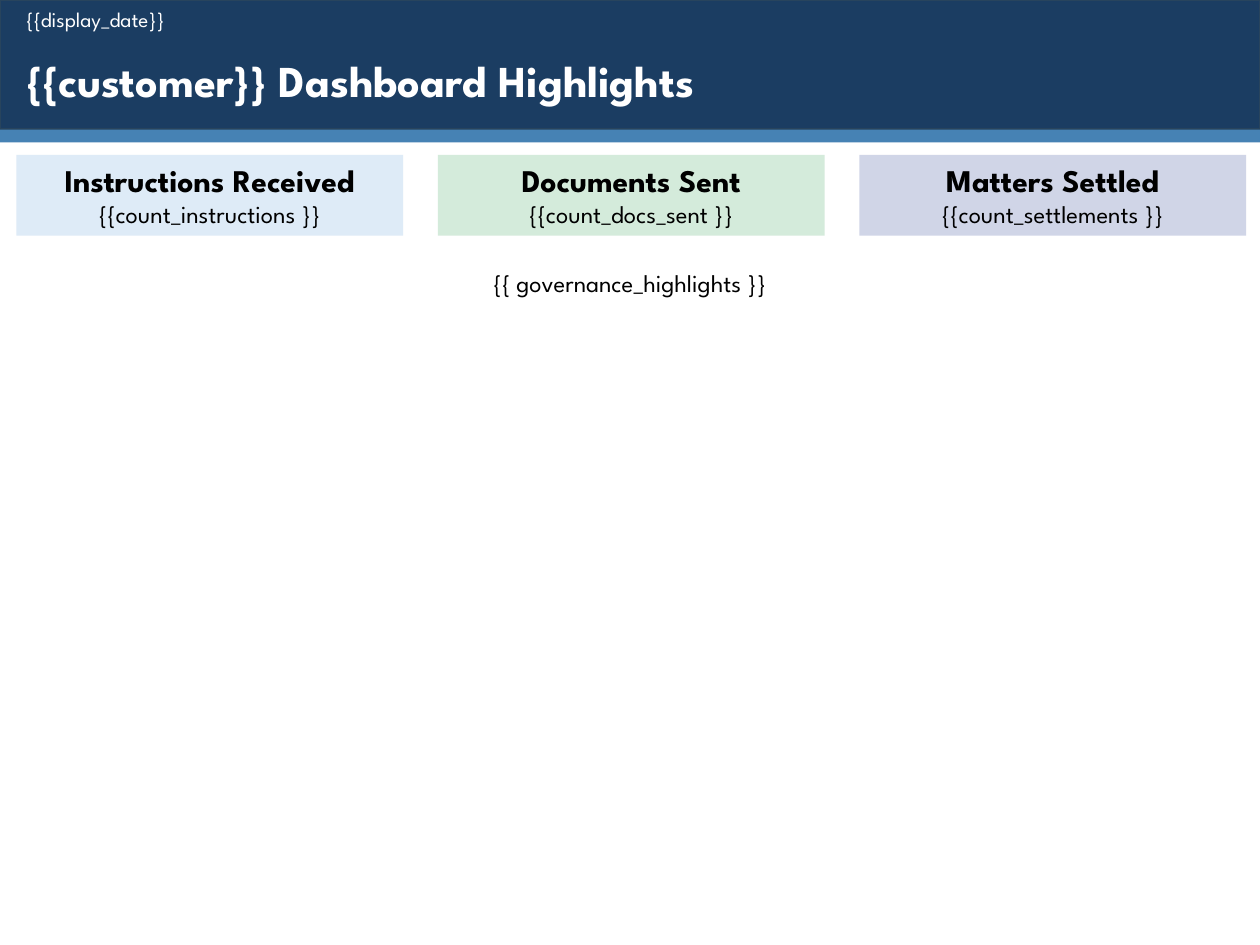
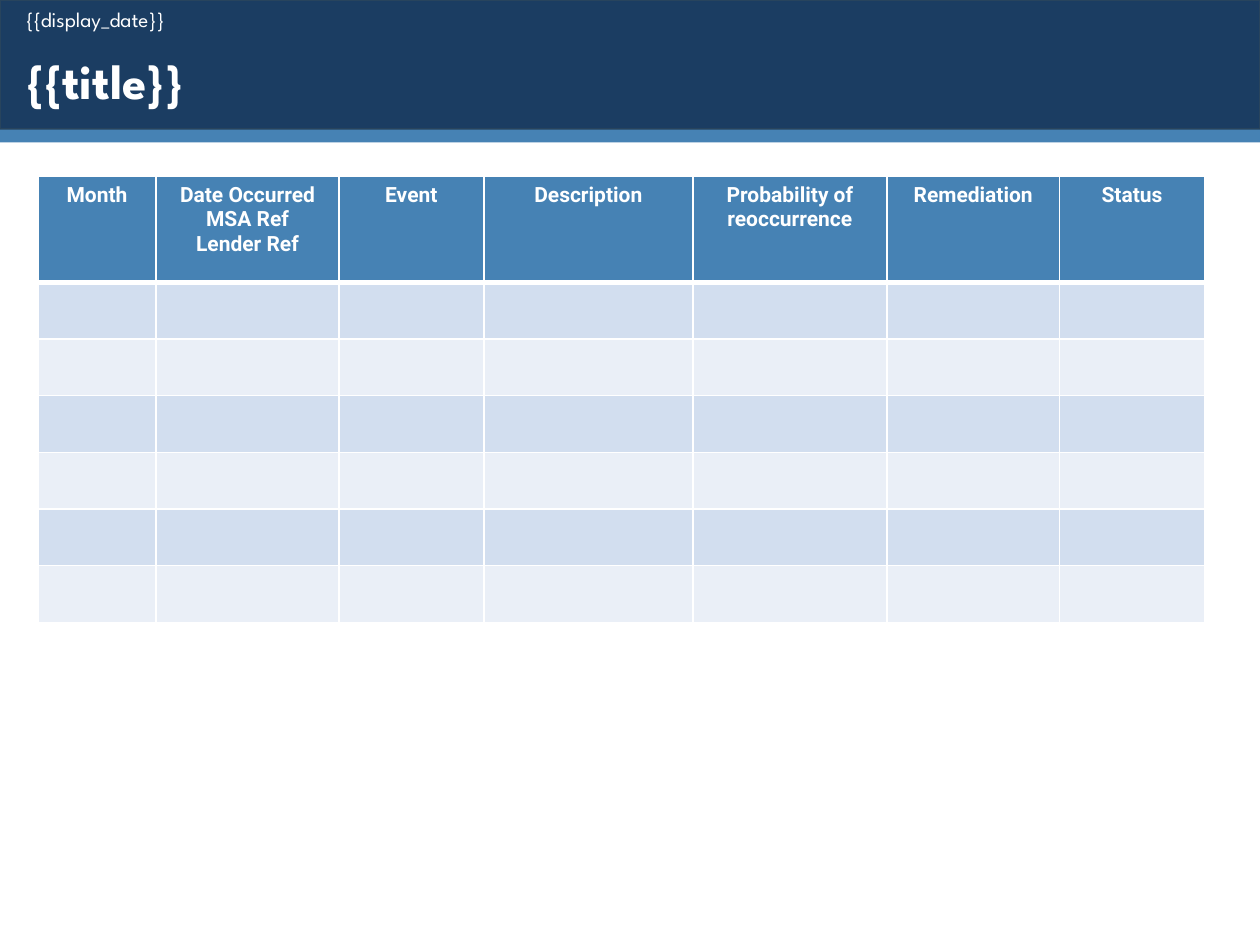
from lxml import etree
from pptx import Presentation
from pptx.dml.color import RGBColor
from pptx.enum.shapes import MSO_SHAPE as Preset
from pptx.enum.text import MSO_ANCHOR as Anchor, MSO_AUTO_SIZE as AutoSize, PP_ALIGN as Align
from pptx.oxml.ns import qn
from pptx.util import Inches, Pt

COLORS = {
    "navy": "1B3D62", "navy_edge": "28445D", "steel": "4682B4",
    "white": "FFFFFF", "black": "000000",
    "instructions": "DEEBF7", "documents": "D4EBDB", "settlements": "D0D5E7",
    "odd_row": "D2DEEF", "even_row": "EAEFF7",
}
HEADING_FONT = "League Spartan"
TABLE_FONT = "Roboto"
MARGIN = 0.11

CARDS = [
    ("Instructions Received", "{{count_instructions }}", "instructions"),
    ("Documents Sent", "{{count_docs_sent }}", "documents"),
    ("Matters Settled", "{{count_settlements }}", "settlements"),
]
CARD_LEFT, CARD_RIGHT, CARD_WIDTH = 0.13, 9.89, 3.07

# A vertical tab is a line break inside a paragraph.
EVENT_COLUMNS = [
    ("Month", 0.94), ("Date Occurred\nMSA Ref\vLender Ref", 1.45),
    ("Event", 1.15), ("Description", 1.66),
    ("Probability of reoccurrence", 1.54), ("Remediation", 1.37),
    ("Status", 1.15),
]
HEADER_HEIGHT, ROW_HEIGHT, EMPTY_ROWS = 0.84, 0.45, 6


def rgb(name):
    return RGBColor.from_string(COLORS[name])


def place(left, top, width, height):
    return [Inches(value) for value in (left, top, width, height)]


def style_para(para, size, color, bold=False, align=Align.LEFT, font=HEADING_FONT):
    para.alignment = align
    para.font.name = font
    para.font.size = Pt(size)
    para.font.bold = bold
    para.font.color.rgb = rgb(color)


def add_rect(page, area, fill, edge=None):
    rect = page.shapes.add_shape(Preset.RECTANGLE, *place(*area))
    rect.shadow.inherit = False
    rect.fill.solid()
    rect.fill.fore_color.rgb = rgb(fill)
    if edge:
        rect.line.color.rgb = rgb(edge)
        rect.line.width = Pt(1.5)
    else:
        rect.line.fill.background()
    return rect


def add_text(page, area, text, size, color, align=Align.LEFT, anchor=Anchor.TOP):
    box = page.shapes.add_textbox(*place(*area))
    box.text_frame.word_wrap = True
    box.text_frame.vertical_anchor = anchor
    para = box.text_frame.paragraphs[0]
    para.text = text
    style_para(para, size, color, align=align)
    return para


def add_page(deck, title_text, title_size):
    """Add a slide with the header bands, the title and the date."""
    page = deck.slides.add_slide(deck.slide_layouts.get_by_name("Title Only"))
    bands = [
        add_rect(page, (0, 0, 10, 1.03), "navy", "navy_edge"),
        add_rect(page, (-0.01, 1.03, 10.02, 0.1), "steel"),
    ]
    title = page.shapes.title
    for band in bands:
        title.element.addprevious(band.element)

    title.left, title.top, title.width, title.height = place(MARGIN, 0.3, 6.25, 0.72)
    frame = title.text_frame
    frame.text = title_text
    frame.auto_size = AutoSize.NONE
    frame.vertical_anchor = Anchor.MIDDLE
    frame.paragraphs[0].line_spacing = 0.9
    style_para(frame.paragraphs[0], title_size, "white", bold=True)

    add_text(page, (MARGIN, 0.03, 2.25, 0.24), "{{display_date}}", 12, "white",
             anchor=Anchor.MIDDLE)
    return page


def add_card(page, left, heading, count, fill):
    card = add_rect(page, (left, 1.23, CARD_WIDTH, 0.64), fill)
    frame = card.text_frame
    frame.text = f"{heading}\n{count}"
    frame.vertical_anchor = Anchor.TOP
    frame.auto_size = AutoSize.SHAPE_TO_FIT_TEXT
    heading_para, count_para = frame.paragraphs
    style_para(heading_para, 18, "black", bold=True, align=Align.CENTER)
    style_para(count_para, 14, "black", align=Align.CENTER)


def set_borders(cell, top, bottom):
    """Draw white borders; the widths of top and bottom are in points."""
    properties = cell._tc.get_or_add_tcPr()
    sides = {"lnL": 1, "lnR": 1, "lnT": top, "lnB": bottom}
    for index, (side, width) in enumerate(sides.items()):
        line = etree.Element(qn(f"a:{side}"), w=str(Pt(width)))
        fill = etree.SubElement(line, qn("a:solidFill"))
        etree.SubElement(fill, qn("a:srgbClr"), val=COLORS["white"])
        properties.insert(index, line)


def style_cell(cell, fill, top=1, bottom=1):
    cell.fill.solid()
    cell.fill.fore_color.rgb = rgb(fill)
    set_borders(cell, top, bottom)


def add_event_table(page):
    width = sum(column_width for _, column_width in EVENT_COLUMNS)
    height = HEADER_HEIGHT + EMPTY_ROWS * ROW_HEIGHT
    table = page.shapes.add_table(EMPTY_ROWS + 1, len(EVENT_COLUMNS),
                                  *place(0.3, 1.4, width, height)).table
    for row in table.rows:
        row.height = Inches(ROW_HEIGHT)
    table.rows[0].height = Inches(HEADER_HEIGHT)

    for column, (heading, column_width) in enumerate(EVENT_COLUMNS):
        table.columns[column].width = Inches(column_width)
        header = table.cell(0, column)
        header.text = heading
        style_cell(header, "steel", bottom=3)
        for para in header.text_frame.paragraphs:
            style_para(para, 12, "white", bold=True, align=Align.CENTER, font=TABLE_FONT)
        for row in range(1, EMPTY_ROWS + 1):
            style_cell(table.cell(row, column), "odd_row" if row % 2 else "even_row",
                       top=3 if row == 1 else 1)


def add_highlights_page(deck):
    page = add_page(deck, "{{customer}} Dashboard Highlights", 25.2)
    highlights = add_text(page, (MARGIN, 1.96, 9.78, 5.37),
                          "{{ governance_highlights }}", 14, "black", Align.CENTER)
    highlights.line_spacing = 1.5
    step = (CARD_RIGHT - CARD_LEFT - CARD_WIDTH) / (len(CARDS) - 1)
    for index, card in enumerate(CARDS):
        add_card(page, CARD_LEFT + index * step, *card)


def add_events_page(deck):
    page = add_page(deck, "{{title}}", 28)
    add_event_table(page)


def main():
    deck = Presentation()
    deck.slide_width, deck.slide_height = Inches(10), Inches(7.5)
    add_highlights_page(deck)
    add_events_page(deck)
    deck.save("out.pptx")


if __name__ == "__main__":
    main()
